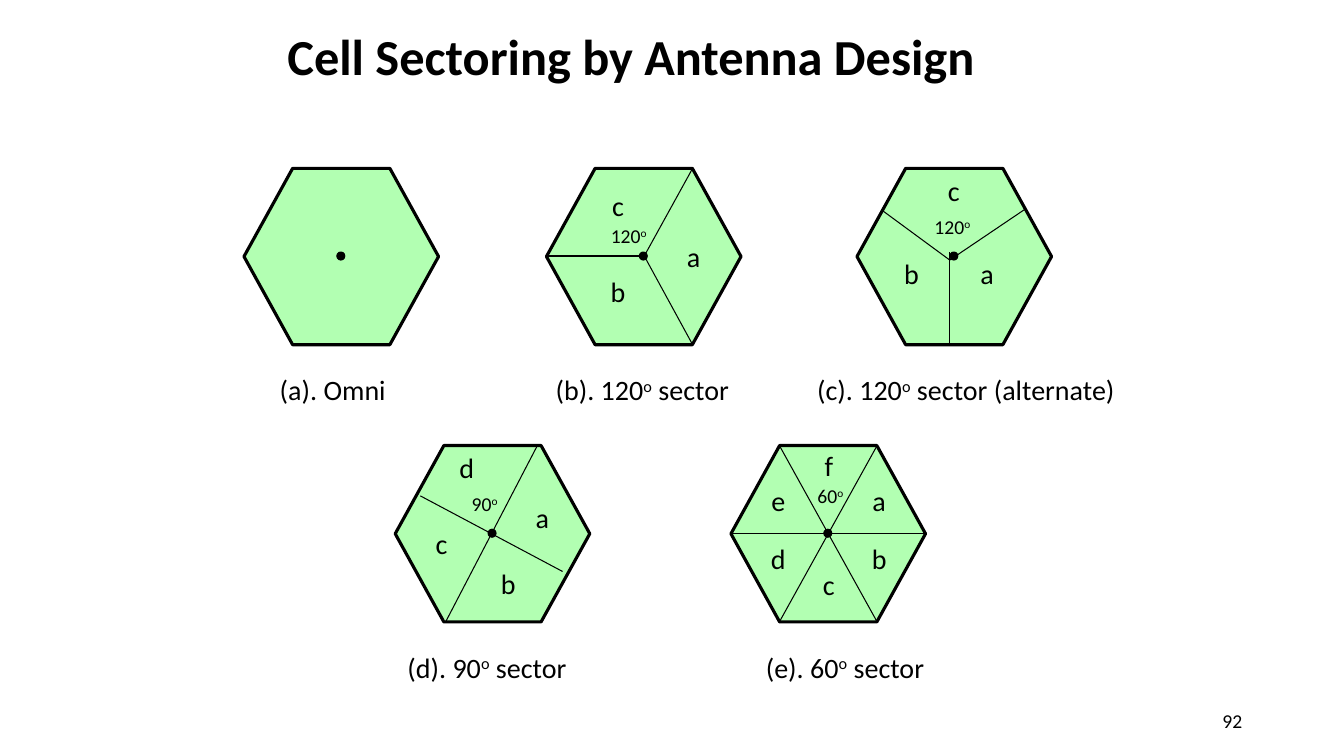
from dataclasses import dataclass

from lxml import etree
from pptx import Presentation
from pptx.dml.color import RGBColor
from pptx.enum.shapes import MSO_CONNECTOR, MSO_SHAPE
from pptx.enum.text import MSO_ANCHOR, MSO_AUTO_SIZE, PP_ALIGN
from pptx.oxml.ns import qn
from pptx.util import Inches, Pt

LINE = MSO_CONNECTOR.STRAIGHT
HEX, DOT = MSO_SHAPE.HEXAGON, MSO_SHAPE.OVAL
LEFT, MID, RIGHT = PP_ALIGN.LEFT, PP_ALIGN.CENTER, PP_ALIGN.RIGHT
CENTER = MSO_ANCHOR.MIDDLE
FIXED = MSO_AUTO_SIZE.NONE
FONT = "Calibri"
COLORS = {"ink": "000000", "cell": "66FF66"}
WIDE, HIGH = 1.93, 1.75
SIDE = 0.48
HUB = (0.96, 0.87)
DOT_SIZE = 0.08
NOTE_DROP = 1.98


@dataclass
class Label:
    text: str
    x: float
    y: float
    wide: float = 0.42
    high: float = 0.43
    size: int = 20
    align: PP_ALIGN = MID


@dataclass
class Cell:
    x: float
    y: float
    lines: list[tuple[float, float, float, float]]
    labels: list[Label]


def color(name: str) -> RGBColor:
    return RGBColor.from_string(COLORS[name])


def angle(text: str, x: float, y: float) -> Label:
    return Label(text, x, y, 0.7, 0.33, 14, LEFT)


def note(text: str, mid: float, wide: float) -> Label:
    return Label(text, mid - wide / 2, NOTE_DROP, wide)


def add_label(slide, label: Label, x: float = 0, y: float = 0):
    box = slide.shapes.add_textbox(Inches(x + label.x), Inches(y + label.y),
                                   Inches(label.wide), Inches(label.high))
    frame = box.text_frame
    frame.word_wrap = True
    para = frame.paragraphs[0]
    para.alignment = label.align
    para.font.name = FONT
    para.font.size = Pt(label.size)
    para.font.color.rgb = color("ink")
    for rank, part in enumerate(label.text.split("^")):
        if part:
            run = para.add_run()
            run.text = part
            if rank % 2:
                run._r.get_or_add_rPr().set("baseline", "30000")
    return frame


def add_form(slide, kind: MSO_SHAPE, x: float, y: float, wide: float,
             high: float, fill: str, weight: float):
    form = slide.shapes.add_shape(kind, Inches(x), Inches(y),
                                  Inches(wide), Inches(high))
    form.shadow.inherit = False
    form.fill.solid()
    form.fill.fore_color.rgb = color(fill)
    form.line.color.rgb = color("ink")
    form.line.width = Pt(weight)
    return form


def add_cell(slide, cell: Cell) -> None:
    form = add_form(slide, HEX, cell.x, cell.y, WIDE, HIGH, "cell", 2.25)
    form.adjustments[0] = 0.276
    tint = form._element.spPr.find(qn("a:solidFill"))[0]
    etree.SubElement(tint, qn("a:alpha"), val="50000")
    for x1, y1, x2, y2 in cell.lines:
        line = slide.shapes.add_connector(
            LINE, Inches(cell.x + x1), Inches(cell.y + y1),
            Inches(cell.x + x2), Inches(cell.y + y2))
        line.line.color.rgb = color("ink")
        line.line.width = Pt(0.75)
        etree.SubElement(line._element.spPr, qn("a:effectLst"))
    add_form(slide, DOT, cell.x + HUB[0] - DOT_SIZE / 2,
             cell.y + HUB[1] - DOT_SIZE / 2, DOT_SIZE, DOT_SIZE, "ink", 0.75)
    for label in cell.labels:
        add_label(slide, label, cell.x, cell.y)


CELLS = [
    Cell(2.42, 1.67, [], [note("(a). Omni", 0.88, 1.75)]),
    Cell(5.42, 1.67,
         [(0, 0.87, 0.97, 0.87), (0.97, 0.87, WIDE - SIDE, 0),
          (0.97, 0.87, WIDE - SIDE, HIGH)],
         [angle("120^o^", 0.54, 0.5), Label("a", 1.25, 0.66),
          Label("b", 0.5, 1), Label("c", 0.5, 0.15),
          note("(b). 120^o^ sector", 0.95, 2.25)]),
    Cell(8.5, 1.67,
         [(0.24, 0.41, 0.92, 0.91), (0.92, 0.91, 1.66, 0.41),
          (0.92, 0.83, 0.92, HIGH)],
         [angle("120^o^", 0.67, 0.41), Label("a", 1.08, 0.83),
          Label("b", 0.33, 0.83), Label("c", 0.75, 0),
          note("(c). 120^o^ sector (alternate)", 1.08, 3.33)]),
    Cell(3.92, 4.42,
         [(0.25, 0.5, 1.66, 1.25), (0.5, HIGH, 1.41, 0)],
         [angle("90^o^", 0.66, 0.41), Label("a", 1.25, 0.5),
          Label("b", 0.91, 1.15), Label("c", 0.25, 0.75),
          Label("d", 0.5, 0), note("(d). 90^o^ sector", 0.91, 2)]),
    Cell(7.25, 4.42,
         [(0, 0.87, WIDE, 0.87), (SIDE, HIGH, WIDE - SIDE, 0),
          (SIDE, 0, WIDE - SIDE, HIGH)],
         [angle("60^o^", 0.76, 0.33), Label("a", 1.26, 0.33),
          Label("b", 1.26, 0.9), Label("c", 0.76, 1.16),
          Label("d", 0.26, 0.9), Label("e", 0.26, 0.33),
          Label("f", 0.76, -0.02), note("(e). 60^o^ sector", 1.13, 2.25)]),
]


def main() -> None:
    deck = Presentation()
    deck.slide_width, deck.slide_height = Inches(13.33), Inches(7.5)
    slide = deck.slides.add_slide(deck.slide_layouts[5])
    title = slide.shapes.title
    title.left, title.top = Inches(2.75), Inches(0.17)
    title.width, title.height = Inches(8.5), Inches(0.83)
    frame = title.text_frame
    frame.text = "Cell Sectoring by Antenna Design"
    frame.auto_size = FIXED
    frame.vertical_anchor = CENTER
    para = frame.paragraphs[0]
    para.alignment = LEFT
    para.line_spacing = 0.9
    para.font.name = FONT
    para.font.size = Pt(36)
    para.font.bold = True
    para.font.color.rgb = color("ink")
    for cell in CELLS:
        add_cell(slide, cell)
    page = add_label(slide, Label("92", 9.42, 6.95, 3, 0.4, 14, RIGHT))
    page.vertical_anchor = CENTER
    deck.save("out.pptx")


if __name__ == "__main__":
    main()
